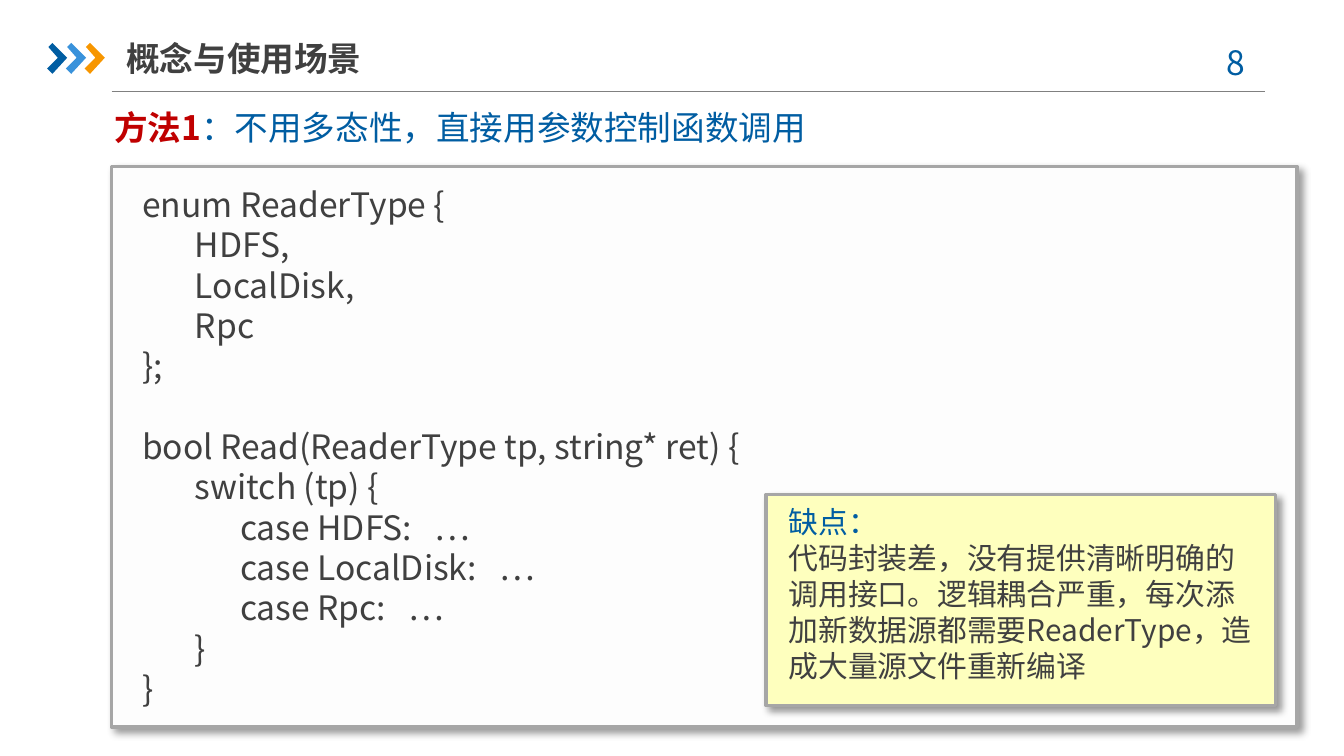
from lxml import etree
from pptx import Presentation
from pptx import util as u
from pptx.dml.color import RGBColor
from pptx.enum import shapes, text
from pptx.oxml import parse_xml
from pptx.oxml.ns import nsdecls, qn

FONT = "Noto Sans CJK SC"
BLUE, GRAY, RED = "005DA2", "404040", "C00000"


def style(font, size, color, bold=False):
    font.size, font.bold, font.name = u.Pt(size), bold, FONT
    font.color.rgb = RGBColor.from_string(color)
    east_asian = etree.Element(qn("a:ea"), typeface=FONT)
    font._element.find(qn("a:latin")).addnext(east_asian)


def panel(left, top, width, height, fill, border=None):
    shape = slide.shapes.add_shape(
        shapes.MSO_SHAPE.RECTANGLE, *[u.Inches(x) for x in (left, top, width, height)])
    shape.fill.solid()
    shape.fill.fore_color.rgb = RGBColor.from_string(fill)
    shape.shadow.inherit = False
    shape.line.fill.background()
    if border:
        shape.line.color.rgb = RGBColor.from_string(border)
        shape.line.width = u.Pt(2)
        shape._element.spPr.find(qn("a:effectLst")).append(parse_xml(
            f'<a:outerShdw {nsdecls("a")} blurRad="50800" dist="38100" dir="2700000" algn="tl" rotWithShape="0">'
            '<a:srgbClr val="000000"><a:alpha val="40000"/></a:srgbClr></a:outerShdw>'))
    shape.text_frame.word_wrap = True
    shape.text_frame.vertical_anchor = text.MSO_ANCHOR.TOP
    return shape


presentation = Presentation()
presentation.slide_width = u.Inches(10)
presentation.slide_height = presentation.slide_width * 9 // 16
slide = presentation.slides.add_slide(presentation.slide_layouts[5])

rule = slide.shapes.add_connector(
    shapes.MSO_CONNECTOR.STRAIGHT, u.Inches(0.83), u.Inches(0.68), u.Inches(9.41), u.Inches(0.68))
rule.line.color.rgb = RGBColor.from_string("808080")
rule.line.width = u.Pt(0.75)
etree.SubElement(rule._element.spPr, qn("a:effectLst"))

chevron = [(1, 3), (4, 0), (15, 11), (4, 23), (0, 19), (8, 11)]
for column, color in enumerate((BLUE, "3992DB", "F79600")):
    points = [(35 + 14 * column + x, 32 + y) for x, y in chevron]
    builder = slide.shapes.build_freeform(*points[0], scale=u.Inches(0.01))
    builder.add_line_segments(points[1:], close=True)
    arrow = builder.convert_to_shape()
    arrow.fill.solid()
    arrow.fill.fore_color.rgb = RGBColor.from_string(color)
    arrow.line.fill.background()
    arrow.shadow.inherit = False

page_number = slide.shapes.add_textbox(u.Inches(8.86), u.Inches(0.26), u.Inches(0.73), u.Inches(0.4))
page_number.text_frame.word_wrap = True
paragraph = page_number.text_frame.paragraphs[0]
paragraph.text = "8 "
paragraph.alignment = text.PP_ALIGN.CENTER
style(paragraph.font, 18, BLUE)

title = slide.shapes.title
title.left, title.top, title.width, title.height = [u.Inches(x) for x in (0.94, 0.22, 2.33, 0.42)]
frame = title.text_frame
frame.text = "概念与使用场景"
frame.margin_left = frame.margin_right = 0
frame.vertical_anchor = text.MSO_ANCHOR.MIDDLE
frame.paragraphs[0].alignment = text.PP_ALIGN.LEFT
style(frame.paragraphs[0].font, 18, GRAY, True)

heading = slide.shapes.add_textbox(u.Inches(0.75), u.Inches(0.75), u.Inches(7.01), u.Inches(0.4))
heading.text_frame.word_wrap = True
paragraph = heading.text_frame.paragraphs[0]
for words, color, bold in (("方法1", RED, True), ("：不用多态性，直接用参数控制函数调用", BLUE, False)):
    run = paragraph.add_run()
    run.text = words
    style(run.font, 18, color, bold)

panel(0.83, 1.24, 8.82, 4.17, "FDFDFD", "A6A6A6")
code = panel(0.96, 1.32, 8.56, 4.04, "FDFDFD")
code.text_frame.text = """enum ReaderType {
       HDFS,
       LocalDisk,
       Rpc
};

bool Read(ReaderType tp, string* ret) {
       switch (tp) {
             case HDFS:   …
             case LocalDisk:   …
             case Rpc:   …
       }
}"""
for paragraph in code.text_frame.paragraphs:
    paragraph.alignment = text.PP_ALIGN.LEFT
    paragraph.line_spacing = u.Pt(21.6)
    style(paragraph.font, 18, GRAY)

panel(5.7, 3.68, 3.79, 1.57, "FEFFBE", "A6A6A6")
drawback = panel(5.77, 3.7, 3.67, 1.45, "FEFFBE")
paragraph = drawback.text_frame.paragraphs[0]
paragraph.alignment = text.PP_ALIGN.LEFT
paragraph.line_spacing = u.Pt(19.2)
label = paragraph.add_run()
label.text = "缺点："
style(label.font, 16, BLUE)
paragraph.add_line_break()
explanation = paragraph.add_run()
explanation.text = "代码封装差，没有提供清晰明确的调用接口。逻辑耦合严重，每次添加新数据源都需要ReaderType，造成大量源文件重新编译"
style(explanation.font, 16, GRAY)

presentation.save("out.pptx")
